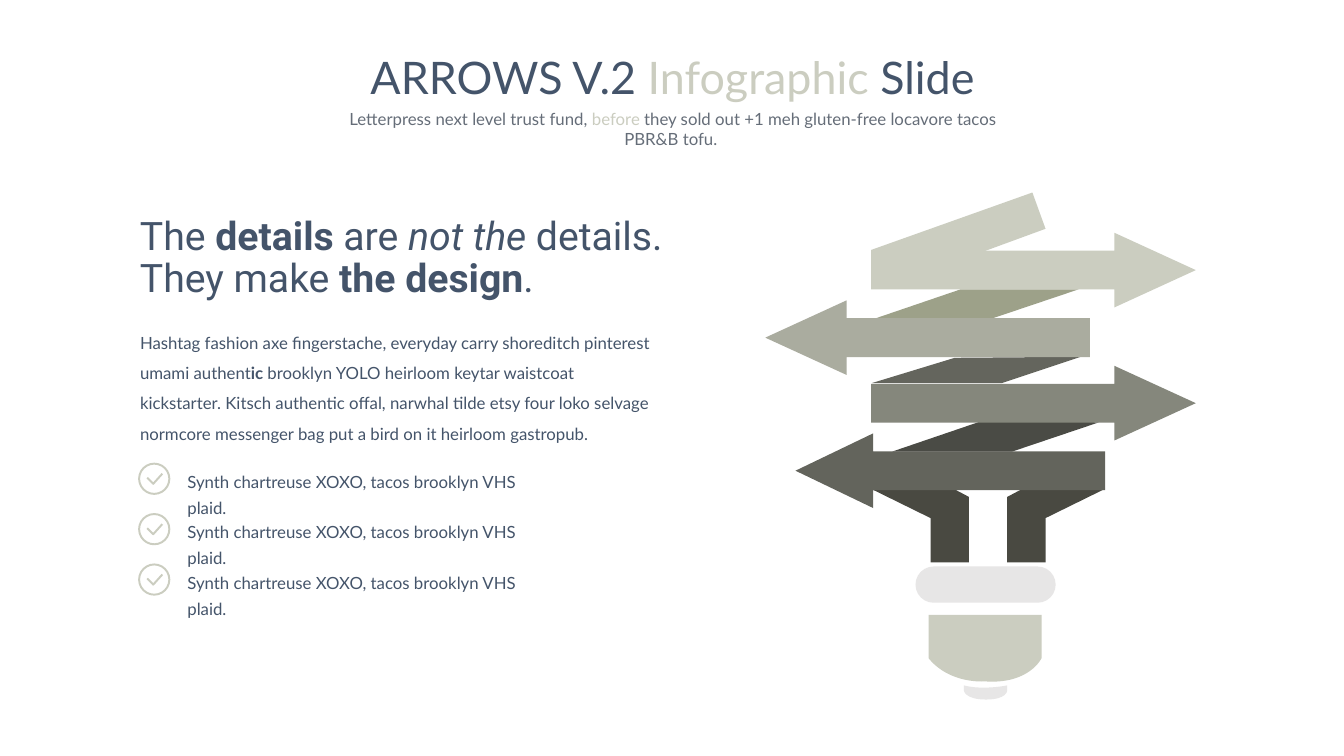
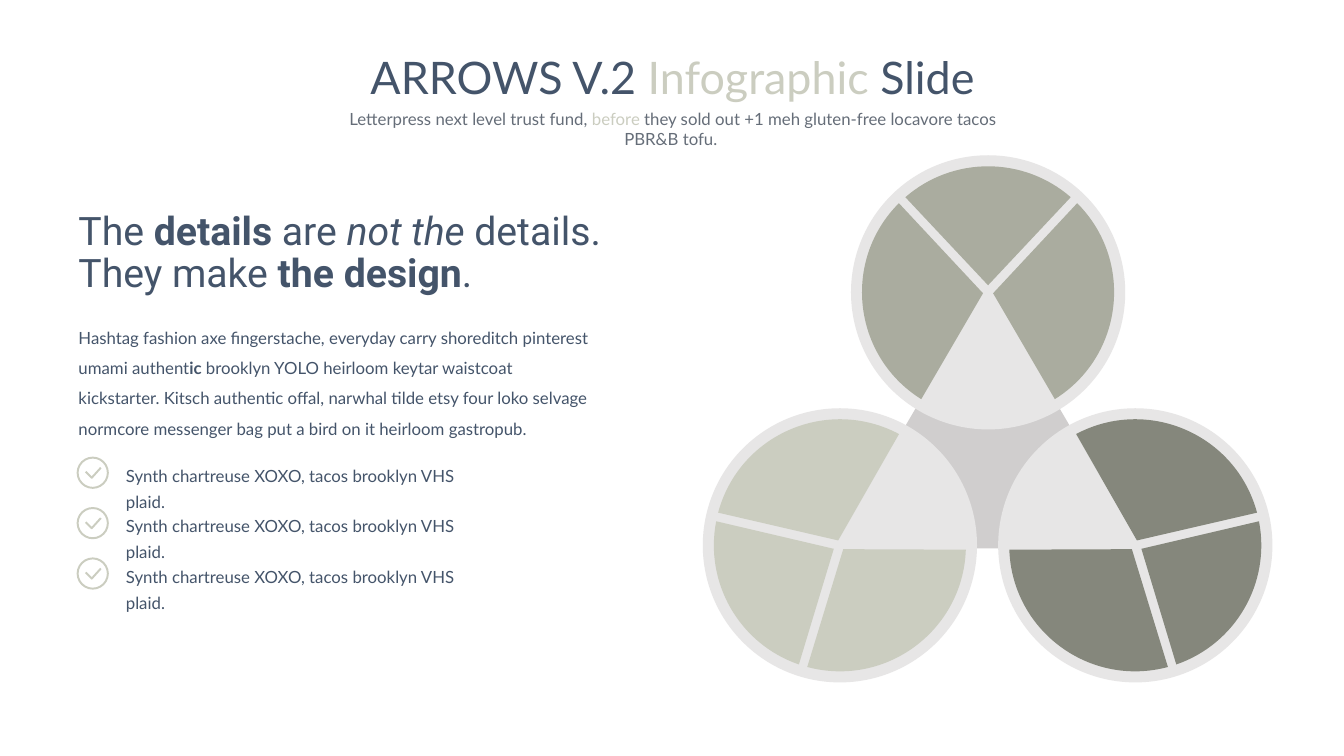
"""Build two infographic slides: an arrow light bulb and a trio of sectored discs."""
from math import cos, radians, sin, tan

from pptx import Presentation, util as u
from pptx.dml import color
from pptx.enum import shapes, text
from pptx.oxml import ns

COLORS = {
    "navy": "44546A", "slate": "656D78", "white": "FFFFFF",
    "pale": "CBCDC0", "sage": "AAAC9F", "olive": "85877C", "moss": "63645C",
    "fold_sage": "9DA189", "fold_olive": "64655D", "fold_moss": "4A4B45",
    "foot": "494941", "light": "E7E6E6", "silver": "D0CECE",
}
SHAPE = shapes.MSO_SHAPE
BULLET = "Synth chartreuse XOXO, tacos brooklyn VHS plaid."


def rgb(name):
    return color.RGBColor.from_string(COLORS[name])


def add_run(p, words, font="Lato", size=12, ink="navy", bold=False, italic=False):
    r = p.add_run()
    r.text = words
    r.font.name, r.font.size = font, u.Pt(size)
    r.font.bold, r.font.italic = bold, italic
    r.font.color.rgb = rgb(ink)


def polar(radius, angle):
    return radius * cos(radians(angle)), radius * sin(radians(angle))


def turn(point, angle):
    x, y = point
    c, s = polar(1, angle)
    return x * c - y * s, x * s + y * c


def bend(sp, segments):
    outline = next(sp._element.iter(ns.qn("a:path")))
    lines = iter(outline.findall(ns.qn("a:lnTo")))
    for segment in segments:
        steps = [next(lines) for _ in segment]
        if len(steps) == 3:
            curve = outline.makeelement(ns.qn("a:cubicBezTo"))
            steps[0].addprevious(curve)
            for step in steps:
                curve.append(step[0])
                outline.remove(step)


class Deck:
    def __init__(self):
        self.prs = Presentation()
        self.prs.slide_width, self.prs.slide_height = u.Inches(13.33), u.Inches(7.5)
        self.s = None

    def add_slide(self):
        self.s = self.prs.slides.add_slide(self.prs.slide_layouts[6])
        self.text([("ARROWS V.2 ", {}), ("Infographic ", {"ink": "pale"}), ("Slide", {})],
                  2.54, 0.44, 8.26, 0.64, centered=True, size=32)
        self.text([("Letterpress next level trust fund, ", {}),
                   ("before", {"ink": "pale"}),
                   (" they sold out +1 meh gluten-free locavore tacos PBR&B tofu. ", {})],
                  3.2, 1.03, 6.95, 0.3, centered=True, ink="slate")

    def text(self, runs, x, y, w, h, spacing=1.0, centered=False, **style):
        sp = self.s.shapes.add_textbox(*map(u.Inches, (x, y, w, h)))
        tf = sp.text_frame
        tf.word_wrap = True
        tf.auto_size = text.MSO_AUTO_SIZE.SHAPE_TO_FIT_TEXT
        p = tf.paragraphs[0]
        p.line_spacing = spacing
        p.alignment = text.PP_ALIGN.CENTER if centered else text.PP_ALIGN.LEFT
        for words, changes in runs:
            add_run(p, words, **{**style, **changes})

    def paint(self, sp, fill, line=None):
        sp.shadow.inherit = False
        sp.fill.solid()
        sp.fill.fore_color.rgb = rgb(fill)
        if line:
            sp.line.color.rgb = rgb(line)
            sp.line.width = u.Pt(1.38)
        else:
            sp.line.fill.background()

    def preset(self, kind, x, y, w, h, fill, line=None, adjust=()):
        sp = self.s.shapes.add_shape(kind, *map(u.Inches, (x, y, w, h)))
        for i, value in enumerate(adjust):
            sp.adjustments[i] = value
        self.paint(sp, fill, line)

    def outline(self, start, segments, fill, line=None, close=True):
        first, *rest = [(u.Inches(x), u.Inches(y))
                        for segment in [[start], *segments] for x, y in segment]
        builder = self.s.shapes.build_freeform(*first)
        builder.add_line_segments(rest, close=close)
        sp = builder.convert_to_shape()
        bend(sp, segments)
        self.paint(sp, fill, line)

    def polygon(self, points, fill, line=None, close=True):
        self.outline(points[0], [[point] for point in points[1:]], fill, line, close)

    def check(self, x, y):
        self.preset(SHAPE.OVAL, x, y, 0.3, 0.3, "white", "pale")
        tick = [(x + dx, y + dy) for dx, dy in ((0.08, 0.14), (0.14, 0.2), (0.23, 0.1))]
        self.polygon(tick, "white", "pale", close=False)

    def story(self, x, y, list_top):
        self.text([("The ", {}), ("details", {"bold": True}), (" are ", {}),
                   ("not the ", {"italic": True}), ("details. They make ", {}),
                   ("the design", {"bold": True}), (".", {})],
                  x, y, 5.46, 0.95, spacing=0.9, font="Roboto", size=28)
        self.text([("Hashtag fashion axe fingerstache, everyday carry shoreditch "
                    "pinterest umami authent", {}), ("ic ", {"bold": True}),
                   ("brooklyn YOLO heirloom keytar waistcoat kickstarter. Kitsch "
                    "authentic offal, narwhal tilde etsy four loko selvage normcore "
                    "messenger bag put a bird on it heirloom gastropub.", {})],
                  x, y + 1.05, 5.32, 1.31, spacing=1.5)
        for i in range(3):
            row = list_top + 0.5 * i
            self.check(x + 0.09, row + 0.03)
            self.text([(BULLET, {})], x + 0.47, row, 3.55, 0.34, spacing=1.3)

    def bulb(self):
        folds = (
            ("pale", [(10.24, 1.91), (10.37, 2.27), (9.77, 2.49), (8.64, 2.49), (8.64, 2.48)]),
            ("fold_sage", [(10.7, 2.87), (9.84, 3.16), (8.65, 3.17), (9.53, 2.87)]),
            ("fold_olive", [(10.72, 3.54), (9.94, 3.8), (8.65, 3.8), (9.47, 3.55)]),
            ("fold_moss", [(8.85, 4.48), (9.73, 4.18), (10.9, 4.19), (10.04, 4.48)]),
        )
        for fill, points in folds:
            self.polygon(points, fill)
        foot = [(0.19, 4.93), (0.19, 5.58), (0.57, 5.58), (0.57, 5.14), (1.16, 4.85), (0.36, 4.84)]
        for side in (-1, 1):
            self.polygon([(9.8 + side * dx, y) for dx, y in foot], "foot")
        arrows = (
            (SHAPE.RIGHT_ARROW, 8.64, 2.31, 3.22, 1.09, "pale"),
            (SHAPE.LEFT_ARROW, 7.59, 2.98, 3.22, 1.09, "sage"),
            (SHAPE.RIGHT_ARROW, 8.64, 3.63, 3.22, 1.09, "olive"),
            (SHAPE.LEFT_ARROW, 7.89, 4.3, 3.07, 1.04, "moss"),
        )
        for kind, x, y, w, head, fill in arrows:
            self.preset(kind, x, y, w, 0.74, fill, adjust=(0.52, head))
        self.preset(SHAPE.ROUNDED_RECTANGLE, 9.08, 5.62, 1.39, 0.36, "light", adjust=(0.5,))
        self.outline((10.33, 6.53), [
            [(10.33, 6.53), (10.21, 6.79), (9.77, 6.76)],
            [(9.77, 6.76), (9.42, 6.79), (9.21, 6.53)],
            [(9.21, 6.1)], [(10.33, 6.1)]], "pale")
        self.outline((9.99, 6.8), [
            [(9.99, 6.85)],
            [(9.99, 6.85), (9.99, 6.94), (9.78, 6.94)],
            [(9.57, 6.94), (9.56, 6.85), (9.56, 6.85)],
            [(9.56, 6.8)],
            [(9.75, 6.85), (9.99, 6.8), (9.99, 6.8)]], "light")

    def sector(self, cx, cy, apex, start, end, radius, fill):
        def place(point):
            return cx + point[0], cy + point[1]

        pull = 4 / 3 * tan(radians(end - start) / 4) * radius
        arc = [turn((radius, pull), start), turn((radius, -pull), end), polar(radius, end)]
        self.outline(place(polar(radius, start)),
                     [[place(point) for point in arc], [place(apex)]], fill)

    def disc(self, cx, cy, angle, fill, rim=1.36, radius=1.25):
        self.preset(SHAPE.OVAL, cx - rim, cy - rim, 2 * rim, 2 * rim, "light")
        sectors = (((0.05, 0.01), -45, 58), ((-0.05, 0.01), 122, 225), ((0, -0.07), -131, -49))
        for apex, start, end in sectors:
            self.sector(cx, cy, turn(apex, angle), start + angle, end + angle, radius, fill)

    def trio(self):
        self.preset(SHAPE.ISOSCELES_TRIANGLE, 8.27, 2.83, 3.05, 2.61, "silver")
        self.disc(9.8, 2.9, 0, "sage")
        self.disc(8.33, 5.41, -120, "pale")
        self.disc(11.26, 5.41, 120, "olive")


def main():
    deck = Deck()
    deck.add_slide()
    deck.bulb()
    deck.story(1.29, 2.1, 4.57)
    deck.add_slide()
    deck.trio()
    deck.story(0.68, 2.05, 4.51)
    deck.prs.save("out.pptx")


if __name__ == "__main__":
    main()
